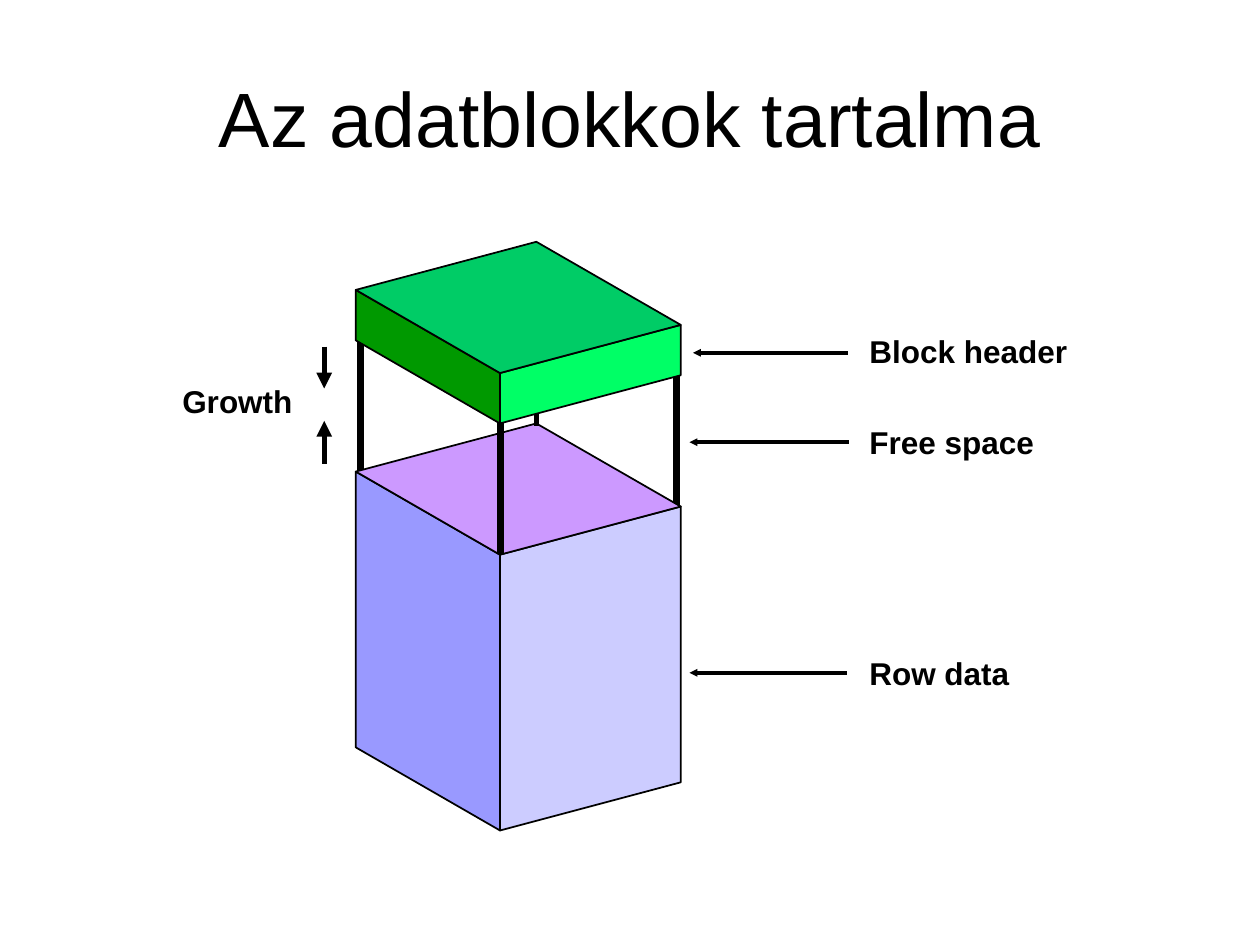
"""Build a slide that explains the contents of a data block."""
import lxml.etree
import pptx
import pptx.dml.color
import pptx.enum.shapes
import pptx.enum.text
import pptx.oxml.ns
import pptx.util

Pt = pptx.util.Pt
qn = pptx.oxml.ns.qn
ALIGN = pptx.enum.text.PP_ALIGN


def color(hex_string):
    return pptx.dml.color.RGBColor.from_string(hex_string)


def write_text(shape, text, size=18, bold=True, align=ALIGN.LEFT, space_before=0, wrap=True):
    shape.text_frame.word_wrap = wrap
    paragraph = shape.text_frame.paragraphs[0]
    paragraph.alignment = align
    paragraph.space_before = Pt(space_before)
    run = paragraph.add_run()
    run.text = text
    run.font.name = "Arial"
    run.font.size = Pt(size)
    run.font.bold = bold
    run.font.color.rgb = color("000000")


presentation = pptx.Presentation()
presentation.slide_width, presentation.slide_height = Pt(720), Pt(540)
slide = presentation.slides.add_slide(presentation.slide_layouts[5])

title = slide.shapes.title
title.left, title.top, title.width, title.height = Pt(36), Pt(21.6), Pt(648), Pt(90)
title.text_frame.vertical_anchor = pptx.enum.text.MSO_ANCHOR.MIDDLE
write_text(title, "Az adatblokkok tartalma", size=44, bold=False, align=ALIGN.CENTER)

corners = {"back": (306.5, 0), "left": (203.3, 27.5), "right": (389, 47.5), "front": (285.7, 75)}
header_top, header_bottom, row_top, row_bottom = 138.2, 167, 242, 399.6

side_posts = [
    (206, 193, 206, 270, 4, None, None),
    (386.6, 214.5, 386.6, 289, 4, None, None),
]
inner_posts = [
    (285.9, 240.5, 285.9, 316.8, 4, None, None),
    (306.7, 189.4, 306.7, 243.4, 3, None, None),
]
arrows = [
    (185.3, 265, 185.3, 240.5, 3, "a:tailEnd", "med"),
    (185.3, 198, 185.3, 222, 3, "a:tailEnd", "med"),
    (396, 201.6, 484.5, 201.6, 2.25, "a:headEnd", "sm"),
    (394, 252.7, 485.3, 252.7, 2.25, "a:headEnd", "sm"),
    (394, 384.5, 484, 384.5, 2.25, "a:headEnd", "sm"),
]
layers = [
    (side_posts, row_top, row_bottom, ("CCCCFF", "9999FF", "CC99FF")),
    (inner_posts, header_top, header_bottom, ("00FF66", "009900", "00CC66")),
    (arrows, 0, 0, ()),
]

for lines, top, bottom, fills in layers:
    for x1, y1, x2, y2, width, arrow_end, arrow_size in lines:
        connector = slide.shapes.add_connector(
            pptx.enum.shapes.MSO_CONNECTOR.STRAIGHT, Pt(x1), Pt(y1), Pt(x2), Pt(y2))
        connector.line.width = Pt(width)
        connector.line.color.rgb = color("000000")
        properties = connector._element.spPr
        if arrow_end:
            lxml.etree.SubElement(properties.find(qn("a:ln")), qn(arrow_end),
                                  type="triangle", w=arrow_size, len=arrow_size)
        lxml.etree.SubElement(properties, qn("a:effectLst"))

    faces = [
        [("right", top), ("right", bottom), ("front", bottom), ("front", top)],
        [("left", top), ("left", bottom), ("front", bottom), ("front", top)],
        [("back", top), ("right", top), ("front", top), ("left", top)],
    ]
    for face, fill in zip(faces, fills):
        points = [(Pt(corners[name][0]), Pt(level + corners[name][1])) for name, level in face]
        builder = slide.shapes.build_freeform(*points[0])
        builder.add_line_segments(points[1:], close=True)
        shape = builder.convert_to_shape()
        shape.shadow.inherit = False
        shape.fill.solid()
        shape.fill.fore_color.rgb = color(fill)
        shape.line.color.rgb = color("000000")
        shape.line.width = Pt(1)

labels = [
    ("Block header", 490.3, 186.2, 132, ALIGN.LEFT, 11.2, True),
    ("Free space", 490.3, 238.3, 121, ALIGN.LEFT, 11.2, True),
    ("Row data", 490.3, 370, 100, ALIGN.LEFT, 11.2, True),
    ("Growth", 95.2, 214.6, 81, ALIGN.CENTER, 4.5, False),
]
for text, left, top, width, align, space_before, wrap in labels:
    label = slide.shapes.add_textbox(Pt(left), Pt(top), Pt(width), Pt(28.4))
    label.text_frame.margin_left = label.text_frame.margin_right = Pt(6.5)
    label.text_frame.auto_size = pptx.enum.text.MSO_AUTO_SIZE.SHAPE_TO_FIT_TEXT
    write_text(label, text, align=align, space_before=space_before, wrap=wrap)

presentation.save("out.pptx")
